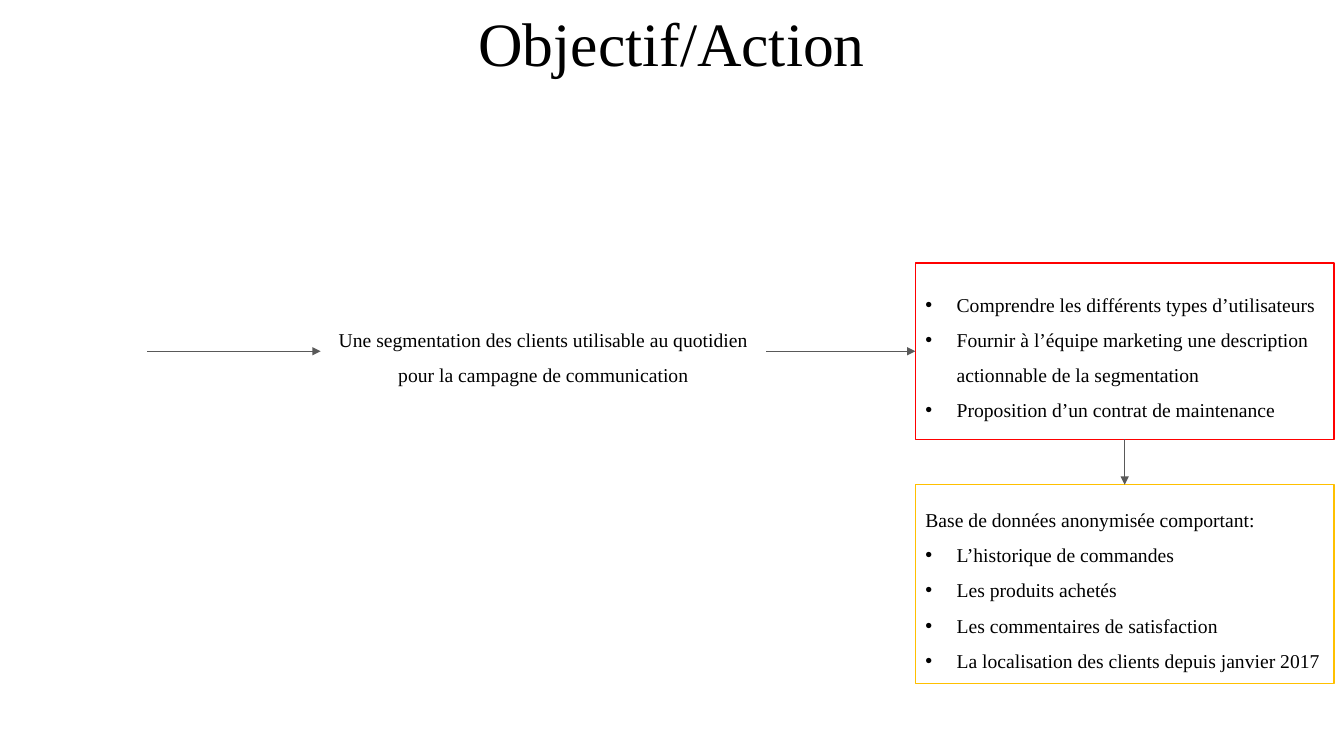
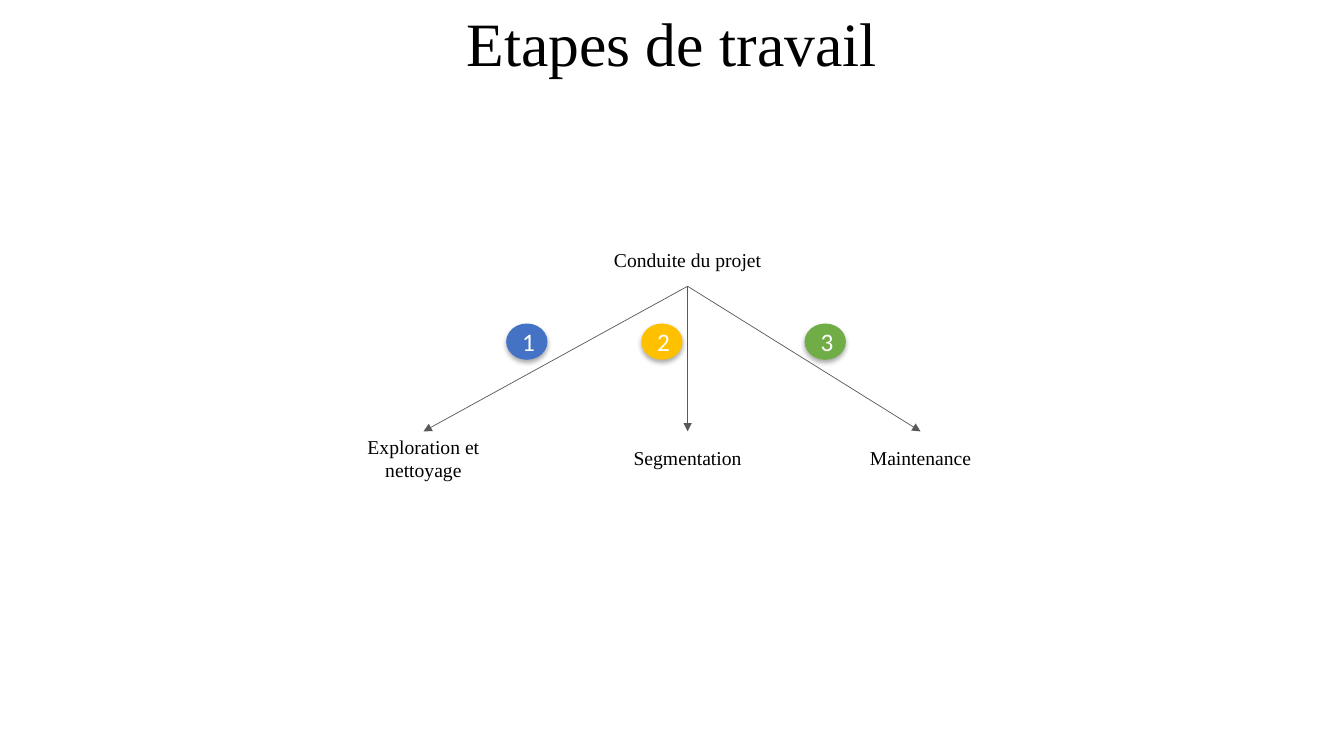
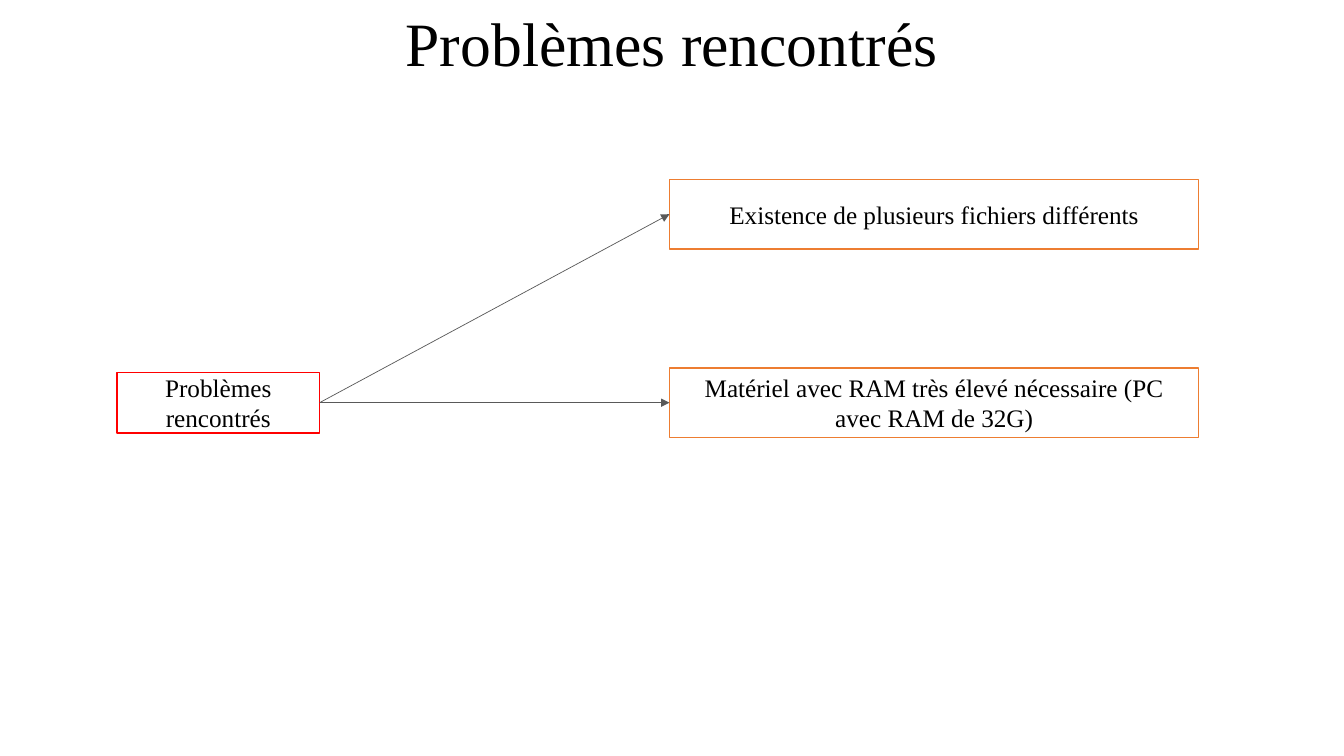
from dataclasses import dataclass

from lxml.etree import SubElement
from pptx import Presentation
from pptx.dml.color import RGBColor
from pptx.enum.shapes import MSO_CONNECTOR as Connector, MSO_SHAPE as Preset
from pptx.enum.text import MSO_ANCHOR as Anchor, PP_ALIGN as Align
from pptx.oxml.ns import qn
from pptx.util import Inches, Pt


@dataclass(frozen=True)
class Theme:
    serif: str = "Times New Roman"
    sans: str = "Calibri"
    title_size: int = 44
    large_size: int = 18
    body_size: int = 14
    ink: str = "000000"
    paper: str = "FFFFFF"
    arrow: str = "595959"
    red: str = "FF0000"
    yellow: str = "FFC000"
    orange: str = "ED7D31"
    blue: str = "4472C4"
    green: str = "70AD47"
    border_width: float = 1
    arrow_width: float = 0.5
    bullet_indent: float = 0.31


THEME = Theme()


@dataclass(frozen=True)
class Box:
    """A rectangle in inches, with the midpoints of its sides."""
    left: float
    top: float
    width: float
    height: float

    @property
    def right(self):
        return self.left + self.width

    @property
    def bottom(self):
        return self.top + self.height

    @property
    def center(self):
        return self.left + self.width / 2

    @property
    def middle(self):
        return self.top + self.height / 2

    @property
    def left_side(self):
        return self.left, self.middle

    @property
    def right_side(self):
        return self.right, self.middle

    @property
    def top_side(self):
        return self.center, self.top

    @property
    def bottom_side(self):
        return self.center, self.bottom

    def lengths(self):
        return [Inches(n) for n in (self.left, self.top, self.width, self.height)]


SLIDE = Box(0, 0, 13.33, 7.5)


def color(code):
    return RGBColor.from_string(code)


def add_bullet(paragraph):
    properties = paragraph._p.get_or_add_pPr()
    indent = Inches(THEME.bullet_indent)
    properties.set("marL", str(indent))
    properties.set("indent", str(-indent))
    SubElement(properties, qn("a:buFont"), typeface="Arial")
    SubElement(properties, qn("a:buChar"), char="•")


def write(shape, lines, size=THEME.body_size, font=THEME.serif, ink=THEME.ink,
          align=Align.CENTER, spacing=None, first_bullet=None):
    """Fill a shape with one paragraph a line, bulleted from first_bullet on."""
    frame = shape.text_frame
    frame.word_wrap = True
    frame.vertical_anchor = Anchor.MIDDLE
    for index, line in enumerate(lines):
        paragraph = frame.add_paragraph() if index else frame.paragraphs[0]
        paragraph.alignment = align
        if spacing:
            paragraph.line_spacing = spacing
        if first_bullet is not None and index >= first_bullet:
            add_bullet(paragraph)
        run = paragraph.add_run()
        run.text = line
        run.font.size = Pt(size)
        run.font.name = font
        run.font.color.rgb = color(ink)


def add_label(slide, box, text, **style):
    write(slide.shapes.add_textbox(*box.lengths()), [text], **style)


def add_preset(slide, preset, box, fill=None, border=None):
    shape = slide.shapes.add_shape(preset, *box.lengths())
    shape.shadow.inherit = False
    if fill:
        shape.fill.solid()
        shape.fill.fore_color.rgb = color(fill)
    else:
        shape.fill.background()
    if border:
        shape.line.color.rgb = color(border)
        shape.line.width = Pt(THEME.border_width)
    else:
        shape.line.fill.background()
    return shape


def add_arrow(slide, start, end):
    points = [Inches(n) for n in (*start, *end)]
    arrow = slide.shapes.add_connector(Connector.STRAIGHT, *points)
    arrow.line.color.rgb = color(THEME.arrow)
    arrow.line.width = Pt(THEME.arrow_width)
    SubElement(arrow.line._get_or_add_ln(), qn("a:tailEnd"), type="triangle")
    SubElement(arrow._element.spPr, qn("a:effectLst"))


def add_soft_shadow(shape):
    effects = shape._element.spPr.find(qn("a:effectLst"))
    shadow = SubElement(effects, qn("a:outerShdw"), blurRad=str(Pt(3.5)),
                        dist=str(Pt(2.2)), dir="5400000", algn="ctr", rotWithShape="0")
    tint = SubElement(shadow, qn("a:srgbClr"), val=THEME.ink)
    SubElement(tint, qn("a:alpha"), val="32000")


def add_titled_slide(presentation, title):
    slide = presentation.slides.add_slide(presentation.slide_layouts[6])
    add_label(slide, Box(0, 0, SLIDE.width, 0.92), title,
              size=THEME.title_size, spacing=0.9)
    return slide


def add_list_panel(slide, box, border, lines, first_bullet):
    panel = add_preset(slide, Preset.RECTANGLE, box, border=border)
    write(panel, lines, align=Align.LEFT, spacing=1.5, first_bullet=first_bullet)


def add_badge(slide, box, fill, number):
    badge = add_preset(slide, Preset.OVAL, box, fill=fill)
    add_soft_shadow(badge)
    write(badge, [str(number)], size=THEME.large_size, font=THEME.sans, ink=THEME.paper)


def add_framed_text(slide, box, border, text):
    frame = add_preset(slide, Preset.RECTANGLE, box, fill=THEME.paper, border=border)
    write(frame, [text], size=THEME.large_size)


def add_objective_flow(slide, area):
    """Arrow, objective, arrow, then goals above the data they rely on."""
    panel_width, goals_height, data_height = 4.15, 1.75, 1.97
    panel_left = area.right - panel_width
    goals = Box(panel_left, area.top, panel_width, goals_height)
    data = Box(panel_left, area.bottom - data_height, panel_width, data_height)
    objective = Box(area.left + 1.72, goals.middle - 0.35, 4.42, 0.7)

    add_label(slide, objective, "Une segmentation des clients utilisable au quotidien "
              "pour la campagne de communication", spacing=1.5)
    add_list_panel(slide, goals, THEME.red, [
        "Comprendre les différents types d’utilisateurs",
        "Fournir à l’équipe marketing une description actionnable de la segmentation",
        "Proposition d’un contrat de maintenance",
    ], first_bullet=0)
    add_list_panel(slide, data, THEME.yellow, [
        "Base de données anonymisée comportant:",
        "L’historique de commandes",
        "Les produits achetés",
        "Les commentaires de satisfaction",
        "La localisation des clients depuis janvier 2017",
    ], first_bullet=1)
    add_arrow(slide, (area.left, goals.middle), objective.left_side)
    add_arrow(slide, objective.right_side, goals.left_side)
    add_arrow(slide, goals.bottom_side, data.top_side)


def add_step_tree(slide, area):
    """A root label with one arrow and one numbered badge for each step."""
    label_height, step_width, root_width = 0.53, 1.48, 1.79
    steps = [  # text, label offset, badge offset, badge colour
        ("Exploration et nettoyage", 0, 1.56, THEME.blue),
        ("Segmentation", 2.62, 2.9, THEME.yellow),
        ("Maintenance", 4.93, 4.52, THEME.green),
    ]
    root_center = area.left + steps[1][1] + step_width / 2
    root = Box(root_center - root_width / 2, area.top, root_width, label_height)
    add_label(slide, root, "Conduite du projet")
    for number, (text, label_offset, badge_offset, fill) in enumerate(steps, 1):
        step = Box(area.left + label_offset, area.bottom - label_height,
                   step_width, label_height)
        add_label(slide, step, text)
        add_arrow(slide, root.bottom_side, step.top_side)
        add_badge(slide, Box(area.left + badge_offset, area.top + 0.9, 0.41, 0.36),
                  fill, number)


def add_problem_map(slide, area):
    """A source frame level with the last problem, linked to each problem."""
    problems = ["Existence de plusieurs fichiers différents",
                "Matériel avec RAM très élevé nécessaire (PC avec RAM de 32G)"]
    width, height = 5.25, 0.69
    pitch = (area.height - height) / (len(problems) - 1)
    source = Box(area.left, area.bottom - height / 2 - 0.3, 2.01, 0.6)
    add_framed_text(slide, source, THEME.red, "Problèmes rencontrés")
    for index, text in enumerate(problems):
        problem = Box(area.right - width, area.top + index * pitch, width, height)
        add_framed_text(slide, problem, THEME.orange, text)
        add_arrow(slide, source.right_side, problem.left_side)


def main():
    presentation = Presentation()
    presentation.slide_width = Inches(SLIDE.width)
    presentation.slide_height = Inches(SLIDE.height)
    for title, add_content, area in [
        ("Objectif/Action", add_objective_flow, Box(1.46, 2.61, 11.77, 4.17)),
        ("Etapes de travail", add_step_tree, Box(3.46, 2.31, 6.41, 2.5)),
        ("Problèmes rencontrés", add_problem_map, Box(1.16, 1.78, 10.73, 2.56)),
    ]:
        add_content(add_titled_slide(presentation, title), area)
    presentation.save("out.pptx")


if __name__ == "__main__":
    main()
